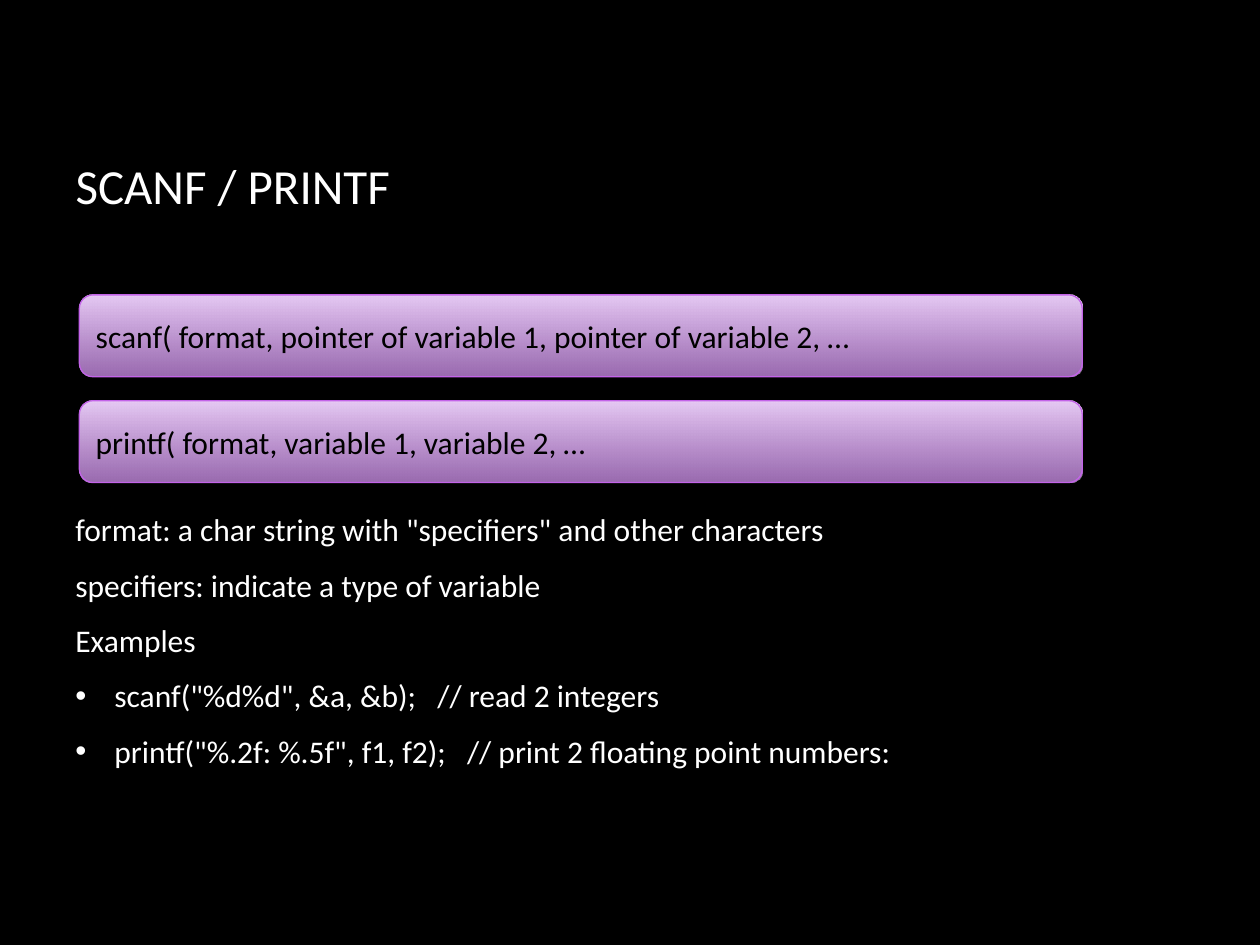
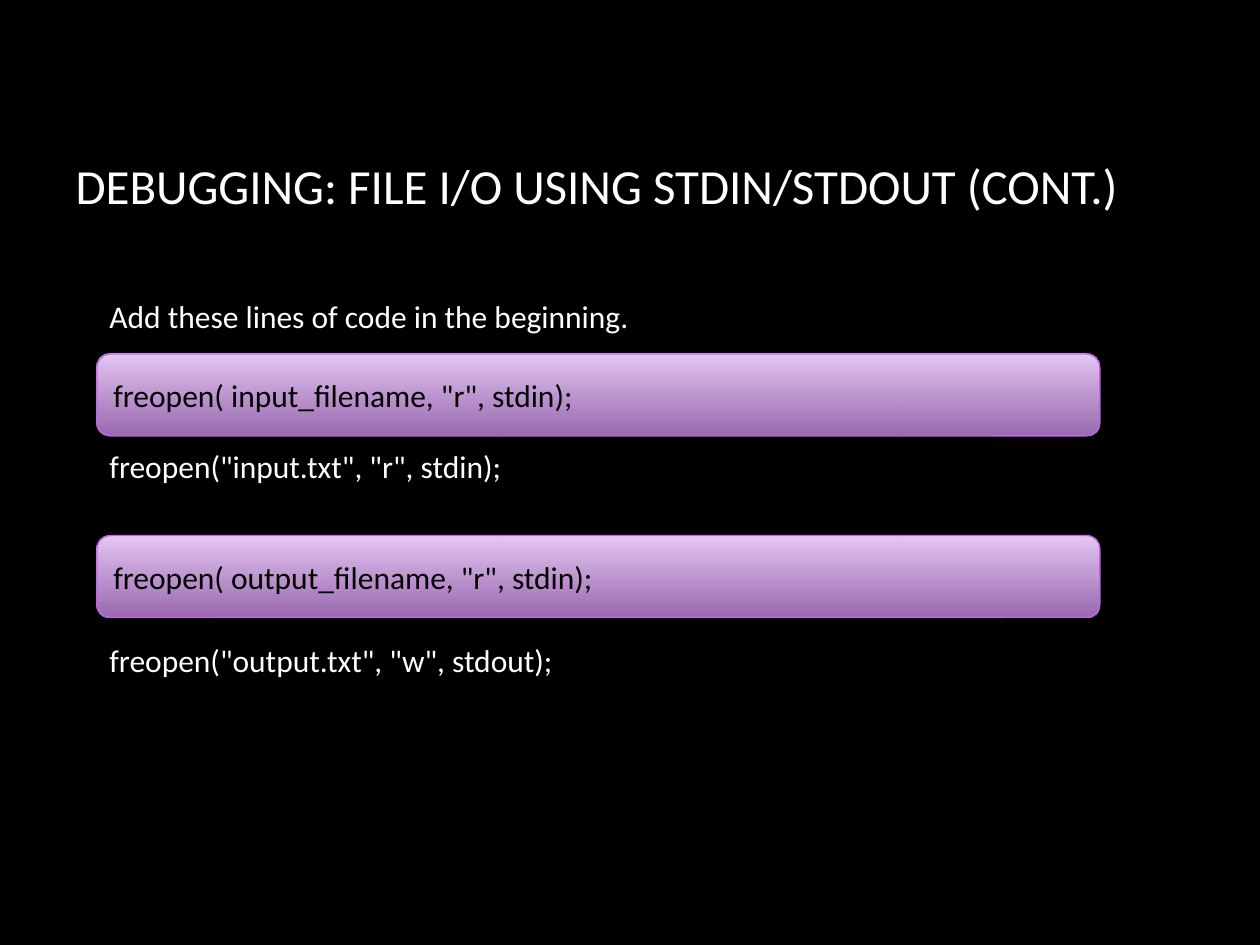
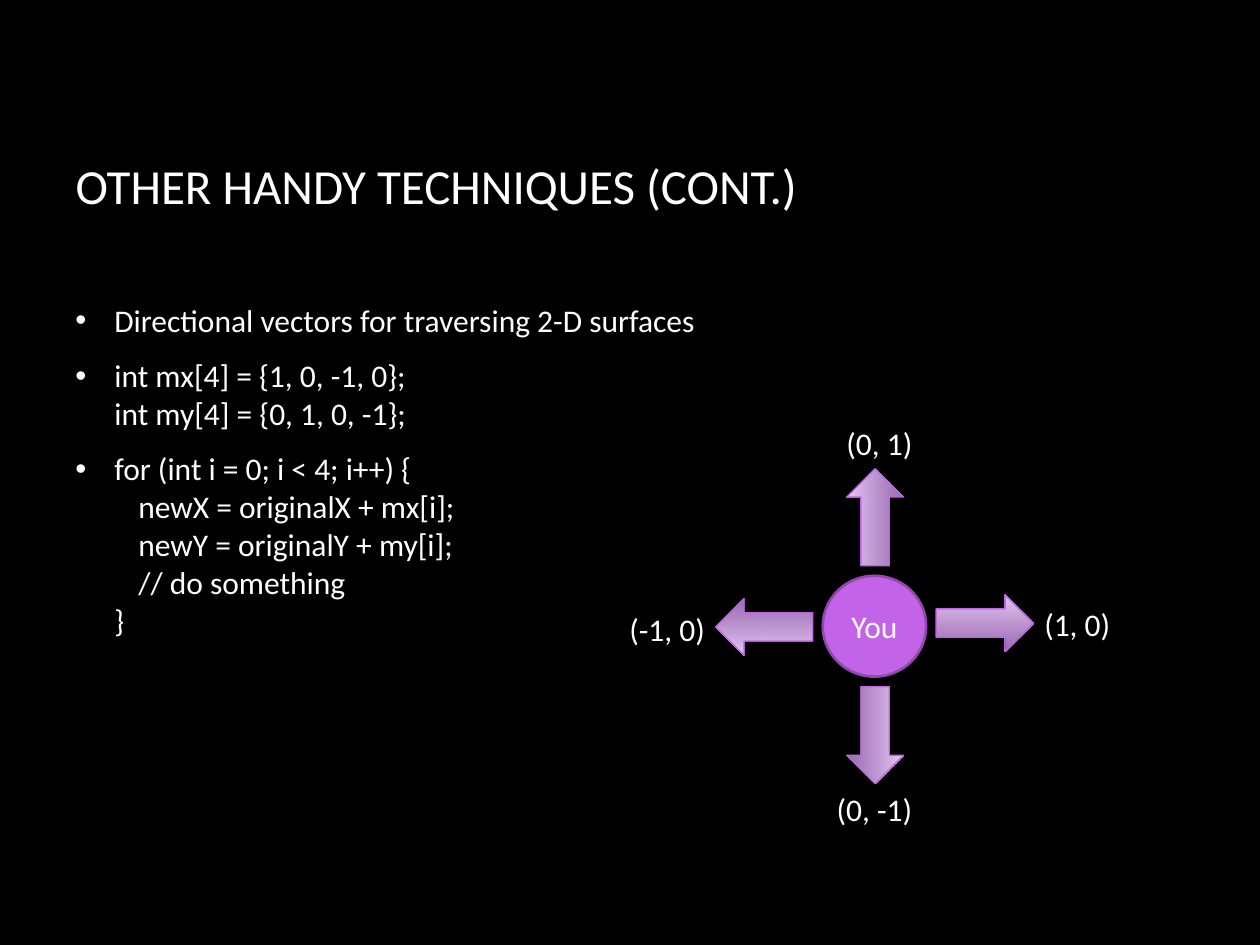
"""Build three slides on C input, output and grid traversal."""
from dataclasses import dataclass

from pptx import Presentation
from pptx import util as u
from pptx.dml.color import RGBColor
from pptx.enum import shapes, text
from pptx.oxml import parse_xml
from pptx.oxml.ns import nsdecls, qn

PX = 9144
FONT = "Calibri"
BLACK, WHITE = "000000", "FFFFFF"
PALE, LILAC, VIOLET, PURPLE = "E7CAF5", "CF91EC", "C363E8", "9049AC"
LEFT, CENTER = text.PP_ALIGN.LEFT, text.PP_ALIGN.CENTER
TOP, MIDDLE = text.MSO_ANCHOR.TOP, text.MSO_ANCHOR.MIDDLE
ROUNDED = shapes.MSO_SHAPE.ROUNDED_RECTANGLE
ARROW = shapes.MSO_SHAPE.RIGHT_ARROW
BULLET_INDENT = 31


@dataclass(frozen=True)
class Box:
    left: int
    top: int
    width: int
    height: int

    def emu(self) -> list[int]:
        return [side * PX for side in (self.left, self.top, self.width, self.height)]


@dataclass(frozen=True)
class Direction:
    vector: str
    label: Box
    arrow_left: int
    arrow_top: int
    rotation: int


TITLE = Box(50, 67, 850, 159)
DIRECTIONS = [
    Direction("(0, 1)", Box(653, 332, 90, 40), 656, 388, 270),
    Direction("(1, 0)", Box(810, 475, 90, 40), 743, 472, 0),
    Direction("(0, -1)", Box(645, 622, 98, 40), 656, 561, 90),
    Direction("(-1, 0)", Box(478, 479, 103, 40), 568, 475, 180),
]


def color(value: str) -> RGBColor:
    return RGBColor.from_string(value)


def write(frame, content: str, *, size=18, ink=WHITE, align=LEFT, anchor=TOP,
          wrap=True, after=0, bullets_from=None) -> None:
    """Fill a frame, one paragraph a line, with vertical tabs as line breaks."""
    frame.word_wrap = wrap
    frame.auto_size = text.MSO_AUTO_SIZE.NONE
    frame.vertical_anchor = anchor
    frame.text = content
    for index, paragraph in enumerate(frame.paragraphs):
        paragraph.alignment = align
        paragraph.space_after = u.Pt(after)
        for run in paragraph.runs:
            run.font.name = FONT
            run.font.size = u.Pt(size)
            run.font.color.rgb = color(ink)
        if bullets_from is not None and index >= bullets_from:
            add_bullet(paragraph)


def add_bullet(paragraph) -> None:
    properties = paragraph._p.get_or_add_pPr()
    properties.set("marL", str(BULLET_INDENT * PX))
    properties.set("indent", str(-BULLET_INDENT * PX))
    properties.append(parse_xml(f'<a:buFont {nsdecls("a")} typeface="Arial"/>'))
    properties.append(parse_xml(f'<a:buChar {nsdecls("a")} char="•"/>'))


def add_text(parent, box: Box, content: str, **style) -> None:
    write(parent.add_textbox(*box.emu()).text_frame, content, **style)


def add_outlined(parent, kind, box: Box, line: str, weight: float):
    shape = parent.add_shape(kind, *box.emu())
    shape.shadow.inherit = False
    shape.line.color.rgb = color(line)
    shape.line.width = u.Pt(weight)
    return shape


def add_gradient(parent, kind, box: Box):
    shape = add_outlined(parent, kind, box, VIOLET, 0.75)
    shape.fill.gradient()
    shape.fill.gradient_angle = 270
    for stop, position, tint in zip(shape.fill.gradient_stops, (0, 1), (PALE, LILAC)):
        stop.position = position
        stop.color.rgb = color(tint)
    end = shape._element.spPr.findall(f".//{qn('a:gs')}")[-1][0]
    end.append(parse_xml(f'<a:alpha {nsdecls("a")} val="74000"/>'))
    return shape


def add_code_bar(slide, left: int, top: int, code: str) -> None:
    bar = add_gradient(slide.shapes, ROUNDED, Box(left, top, 796, 65))
    write(bar.text_frame, code, ink=BLACK, anchor=MIDDLE)


def add_slide(deck, heading: str):
    slide = deck.slides.add_slide(deck.slide_layouts[5])
    title = slide.shapes.title
    title.left, title.top, title.width, title.height = TITLE.emu()
    write(title.text_frame, heading, size=28, anchor=MIDDLE)
    return slide


def build_formats(deck) -> None:
    slide = add_slide(deck, "SCANF / PRINTF")
    add_text(slide.shapes, Box(50, 383, 850, 250), "\n".join([
        'format: a char string with "specifiers" and other characters',
        "specifiers: indicate a type of variable",
        "Examples",
        'scanf("%d%d", &a, &b);   // read 2 integers',
        'printf("%.2f: %.5f", f1, f2);   // print 2 floating point numbers:',
    ]), anchor=MIDDLE, after=10, bullets_from=3)
    add_code_bar(slide, 63, 234, "scanf( format, pointer of variable 1, pointer of variable 2, …")
    add_code_bar(slide, 63, 318, "printf( format, variable 1, variable 2, …")


def build_debugging(deck) -> None:
    slide = add_slide(deck, "DEBUGGING: FILE I/O USING STDIN/STDOUT (CONT.)")
    left = 77
    add_code_bar(slide, left, 281, 'freopen( input_filename, "r", stdin);')
    add_code_bar(slide, left, 425, 'freopen( output_filename, "r", stdin);')
    for top, width, content in [
        (231, 438, "Add these lines of code in the beginning."),
        (350, 335, 'freopen("input.txt", "r", stdin);'),
        (504, 376, 'freopen("output.txt", "w", stdout);'),
    ]:
        add_text(slide.shapes, Box(left, top, width, 40), content, wrap=False)


def build_directions(deck) -> None:
    slide = add_slide(deck, "OTHER HANDY TECHNIQUES (CONT.)")
    add_text(slide.shapes, Box(50, 234, 850, 486), "\n".join([
        "Directional vectors for traversing 2-D surfaces",
        "int mx[4] = {1, 0, -1, 0};\vint my[4] = {0, 1, 0, -1};",
        "for (int i = 0; i < 4; i++) {\v\tnewX = originalX + mx[i];"
        "\v\tnewY = originalY + my[i];\v\t// do something\v}",
    ]), after=10, bullets_from=0)
    compass = slide.shapes.add_group_shape().shapes
    you = add_outlined(compass, shapes.MSO_SHAPE.OVAL, Box(653, 457, 82, 80), PURPLE, 1.5)
    you.fill.solid()
    you.fill.fore_color.rgb = color(VIOLET)
    write(you.text_frame, "You", align=CENTER, anchor=MIDDLE)
    for direction in DIRECTIONS:
        arrow = add_gradient(compass, ARROW, Box(direction.arrow_left, direction.arrow_top, 77, 45))
        arrow.rotation = direction.rotation
        add_text(compass, direction.label, direction.vector, align=CENTER)


def main() -> None:
    deck = Presentation()
    deck.slide_width, deck.slide_height = 1000 * PX, 750 * PX
    backdrop = deck.slide_master.background.fill
    backdrop.solid()
    backdrop.fore_color.rgb = color(BLACK)
    build_formats(deck)
    build_debugging(deck)
    build_directions(deck)
    deck.save("out.pptx")


if __name__ == "__main__":
    main()
